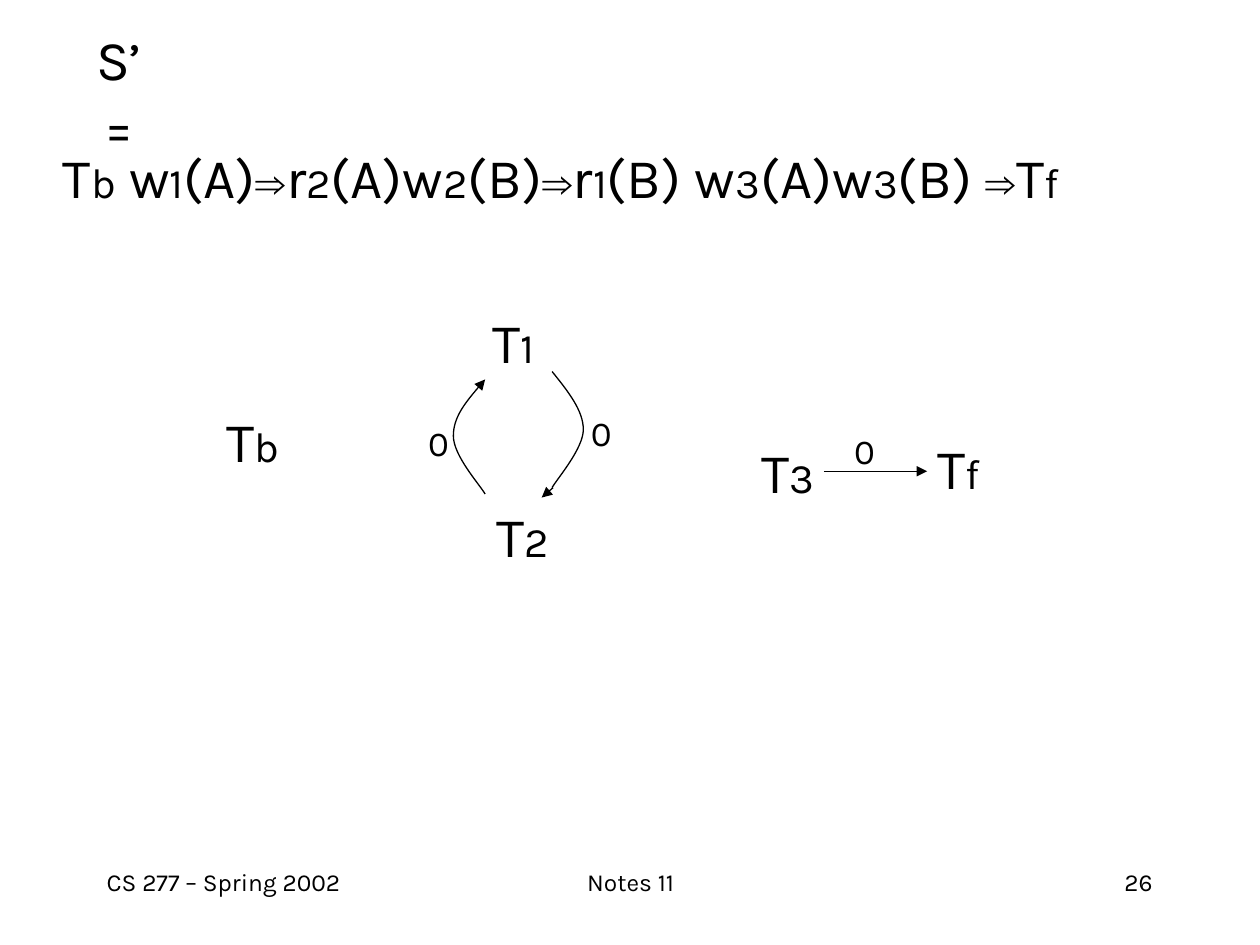
from dataclasses import dataclass
from itertools import groupby

from lxml.etree import SubElement
from pptx import Presentation
from pptx.dml.color import RGBColor
from pptx.enum.shapes import MSO_CONNECTOR as Conn
from pptx.enum.text import MSO_ANCHOR as Anchor, MSO_AUTO_SIZE as Fit, PP_ALIGN as Align
from pptx.oxml.ns import qn
from pptx.util import Cm, Pt


@dataclass(frozen=True)
class Theme:
    ink: RGBColor = RGBColor(0, 0, 0)
    paper: RGBColor = RGBColor(255, 255, 255)
    font: str = "Karla"
    arrow_font: str = "Arial"
    main: int = 32
    sub: int = 24
    label: int = 20
    footer: int = 14
    line: float = 0.75


theme = Theme()


def add_text(text, x, y, w, h, size, sub=None, align=Align.CENTER, anchor=Anchor.MIDDLE, wrap=False):
    sp = s.shapes.add_textbox(Cm(x), Cm(y), Cm(w), Cm(h))
    tf = sp.text_frame
    tf.word_wrap = wrap
    tf.auto_size = Fit.NONE if wrap else Fit.SHAPE_TO_FIT_TEXT
    tf.vertical_anchor = anchor
    p = tf.paragraphs[0]
    p.alignment = align
    for small, chars in groupby(text, lambda c: sub is not None and c in "123bf⇒"):
        r = p.add_run()
        r.text = "".join(chars)
        r.font.size = Pt(sub if small else size)
        r.font.name = theme.arrow_font if r.text == "⇒" else theme.font
        r.font.color.rgb = theme.ink
    return tf


def style_line(sp, end=None):
    sp.line.color.rgb = theme.ink
    sp.line.width = Pt(theme.line)
    spPr = sp.element.spPr
    if end:
        SubElement(spPr.find(qn("a:ln")), qn(end), type="triangle")
    if spPr.find(qn("a:effectLst")) is None:
        SubElement(spPr, qn("a:effectLst"))


prs = Presentation()
prs.slide_width, prs.slide_height = Cm(25.4), Cm(19.05)
s = prs.slides.add_slide(prs.slide_layouts[6])
s.background.fill.solid()
s.background.fill.fore_color.rgb = theme.paper

tf = add_text("Tb w1(A)⇒r2(A)w2(B)⇒r1(B) w3(A)w3(B) ⇒Tf", 1.02, 2.74, 23.44, 1.96,
              theme.main, theme.sub, Align.LEFT, Anchor.TOP, True)
p = tf.paragraphs[0]
p.space_before = Pt(6)
pPr = p.runs[0].font and p.runs[0]._r.getparent().find(qn("a:pPr"))
pPr.set("marL", str(Cm(0.97)))
pPr.set("indent", str(-Cm(0.97)))

tf = add_text("S’ =", 1.27, 1.04, 2.26, 1.63, theme.main, wrap=True)
tf.margin_left = tf.margin_right = Cm(0.51)

group = s.shapes.add_group_shape()
curves = [
    (s.shapes, "a:headEnd", [(9.78, 7.65), (9.45, 8.03), (9.14, 8.41), (9.14, 8.79),
                             (9.14, 9.19), (9.68, 9.78), (9.78, 9.96)]),
    (group.shapes, None, [(11.13, 7.49), (11.46, 7.9), (11.76, 8.28), (11.76, 8.66),
                          (11.76, 9.04), (11.25, 9.63), (11.13, 9.83)]),
]
for shapes, end, points in curves:
    start, *rest = [(Cm(x), Cm(y)) for x, y in points]
    builder = shapes.build_freeform(*start)
    builder.add_line_segments(rest, close=False)
    sp = builder.convert_to_shape()
    sp.fill.background()
    style_line(sp, end)
    outline = next(sp.element.iter(qn("a:path")))
    segments = outline.findall(qn("a:lnTo"))
    for i in range(0, len(segments), 3):
        bezier = SubElement(outline, qn("a:cubicBezTo"))
        for segment in segments[i:i + 3]:
            bezier.append(segment[0])
            outline.remove(segment)

arrows = [(group.shapes, 11.15, 9.83, 10.92, 10.03), (s.shapes, 16.61, 9.5, 18.69, 9.5)]
for shapes, *ends in arrows:
    style_line(shapes.add_connector(Conn.STRAIGHT, *map(Cm, ends)), "a:tailEnd")

nodes = [("Tb", 4.27, 8.05, 1.65), ("T1", 9.53, 6.07, 1.63), ("T2", 9.73, 9.98, 1.63),
         ("T3", 15.06, 8.69, 1.63), ("Tf", 18.62, 8.61, 1.42)]
for name, x, y, w in nodes:
    add_text(name, x, y, w, 1.63, theme.main, theme.sub)

for x, y in [(8.38, 8.36), (11.66, 8.15), (16.97, 8.53)]:
    tf = add_text("0", x, y, 0.91, 1.12, theme.label)
    tf.paragraphs[0].space_before = Pt(12.5)

footers = [("CS 277 – Spring 2002", 1.9, 5.28, Align.LEFT), ("Notes 11", 8.69, 8.05, Align.CENTER),
           ("26", 18.21, 5.28, Align.RIGHT)]
for text, x, w, align in footers:
    add_text(text, x, 17.35, w, 1.27, theme.footer, align=align, anchor=Anchor.TOP, wrap=True)

prs.save("out.pptx")
